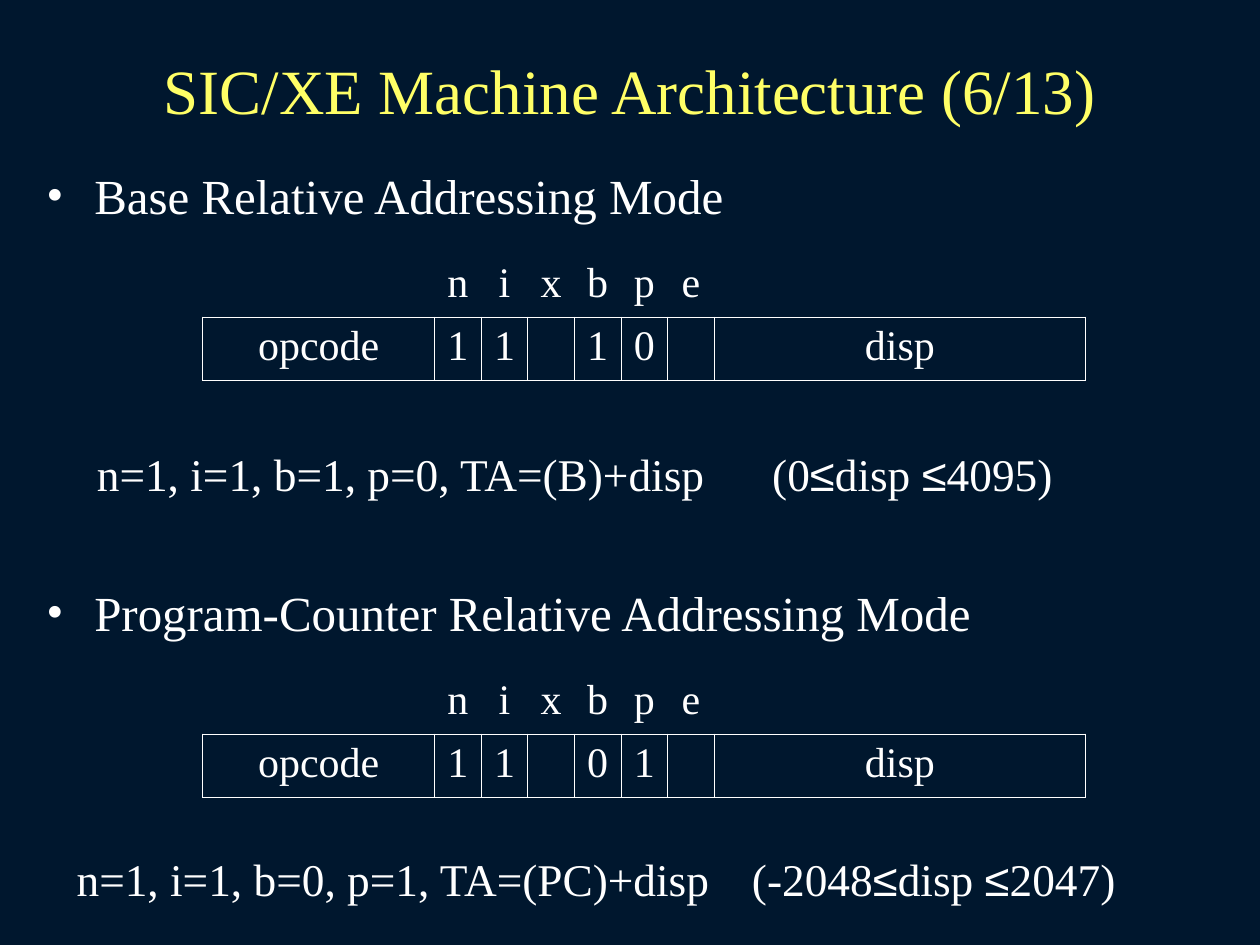
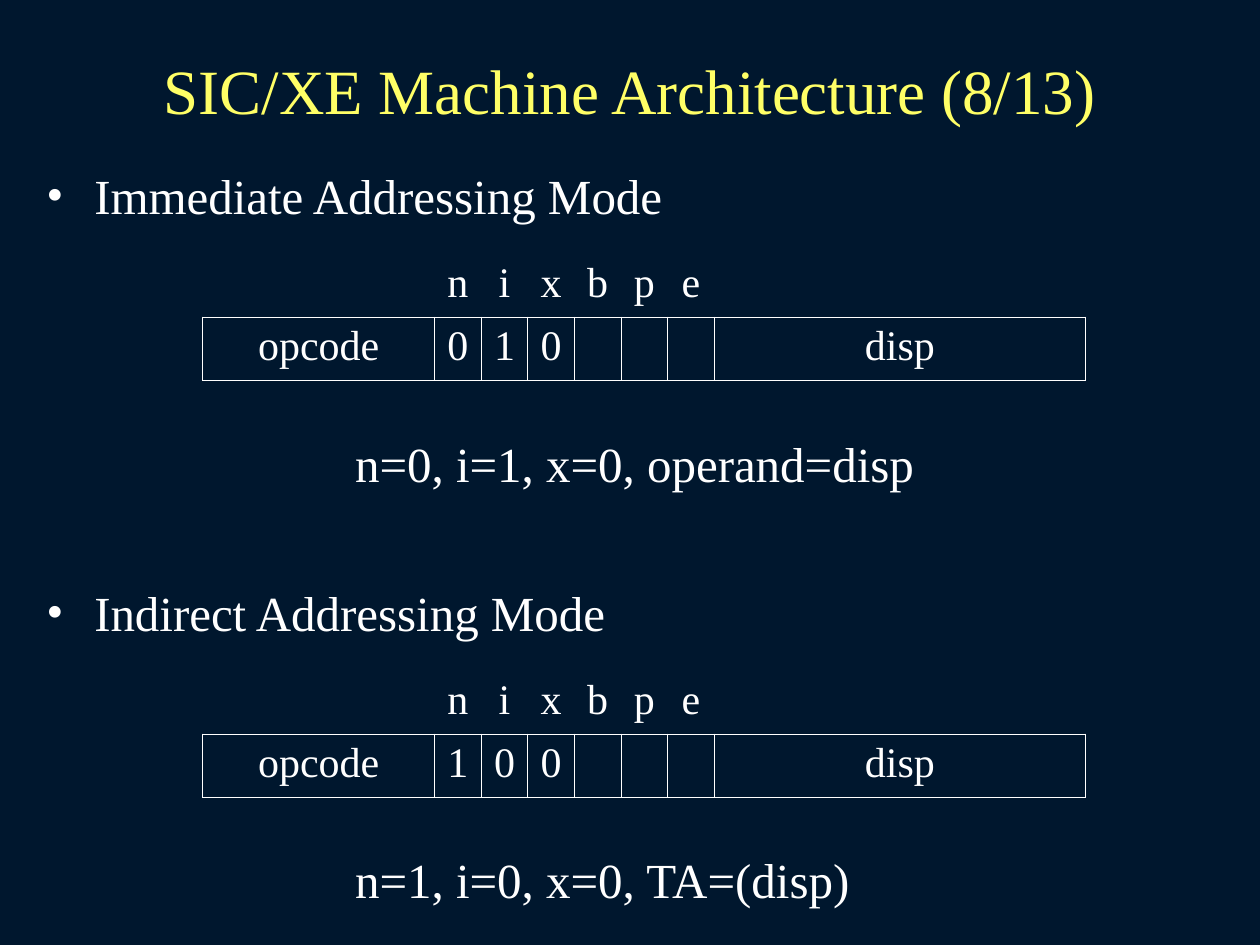
import itertools

import pptx
import pptx.dml.color
import pptx.enum.text
import pptx.oxml
import pptx.oxml.ns
import pptx.util

# Shared colours and fonts
NAVY = pptx.dml.color.RGBColor(0x00, 0x17, 0x2E)
YELLOW = pptx.dml.color.RGBColor(0xFF, 0xFF, 0x66)
WHITE = pptx.dml.color.RGBColor(0xFF, 0xFF, 0xFF)
SERIF = "Times New Roman"
SYMBOL_FONT = "Arial"

# Grid of 100 columns and 75 rows
COLUMNS, ROWS = 100, 75
UNIT = pptx.util.Inches(0.1)

# Text formats
CENTER = pptx.enum.text.PP_ALIGN.CENTER
LEFT = pptx.enum.text.PP_ALIGN.LEFT
TITLE = {"size": pptx.util.Pt(36), "name": SERIF, "color": YELLOW}
HEADING = {"size": pptx.util.Pt(28), "name": SERIF, "color": WHITE}
RANGE_FORMULA = {**HEADING, "size": pptx.util.Pt(25.9)}
FIELD = {**HEADING, "size": pptx.util.Pt(24), "bold": False}

# Instruction format: opcode, six flag bits, displacement
FLAGS = "nixbpe"
FIELD_WIDTHS = [18.4] + [3.7] * len(FLAGS) + [29.5]
FIELD_HEIGHT = 5
BORDER_WIDTH = pptx.util.Pt(0.45)
SIDES = ("L", "R", "T", "B")

# Rows on which the two modes of a page start
MODE_TOPS = (12.3, 45.4)
TEXT_HEIGHT = 6.3
RANGE_TAB = 53.6


def grid(*lengths):
    return [round(length * UNIT) for length in lengths]


def apply_format(font, values):
    for name, value in values.items():
        if name == "color":
            font.color.rgb = value
        else:
            setattr(font, name, value)


def write(para, text, values, align=LEFT):
    """Write text in one paragraph, with its ≤ signs in the symbol font."""
    para.alignment = align
    for is_symbol, letters in itertools.groupby(text, key=lambda letter: letter == "≤"):
        span = para.add_run()
        span.text = "".join(letters)
        apply_format(span.font, values)
        if is_symbol:
            span.font.name = SYMBOL_FONT


def add_text(page, place, text, values, align=LEFT):
    box = page.shapes.add_textbox(*grid(*place))
    frame = box.text_frame
    frame.word_wrap = True
    frame.vertical_anchor = pptx.enum.text.MSO_ANCHOR.MIDDLE
    para = frame.paragraphs[0]
    write(para, text, values, align)
    return para


def add_xml(parent, tag, **attributes):
    element = pptx.oxml.parse_xml(f"<a:{tag} {pptx.oxml.ns.nsdecls('a')}/>")
    for name, value in attributes.items():
        element.set(name, str(value))
    parent.append(element)
    return element


def add_heading(page, top, text):
    para = add_text(page, (2.7, top, 85, TEXT_HEIGHT), text, HEADING)
    properties = para._p.get_or_add_pPr()
    indent, = grid(3.8)
    properties.set("marL", str(indent))
    properties.set("indent", str(-indent))
    add_xml(add_xml(properties, "buClr"), "srgbClr", val=WHITE)
    add_xml(properties, "buFont", typeface=SERIF)
    add_xml(properties, "buChar", char="•")


def add_formula(page, place, text, values):
    para = add_text(page, (*place, TEXT_HEIGHT), text, values)
    if "\t" in text:
        tabs = add_xml(para._p.get_or_add_pPr(), "tabLst")
        add_xml(tabs, "tab", pos=grid(RANGE_TAB)[0], algn="l")


def set_borders(cell, drawn_sides):
    properties = cell._tc.get_or_add_tcPr()
    for side in SIDES:
        line = add_xml(properties, f"ln{side}", w=BORDER_WIDTH)
        if side in drawn_sides:
            add_xml(add_xml(line, "solidFill"), "srgbClr", val=WHITE)
        else:
            add_xml(line, "noFill")


def add_instruction(page, top, bits):
    """Draw the flag names above the fields of one instruction."""
    place = (16.1, top, sum(FIELD_WIDTHS), 2 * FIELD_HEIGHT)
    table = page.shapes.add_table(2, len(FIELD_WIDTHS), *grid(*place)).table
    table.first_row = table.horz_banding = False
    for column, width in zip(table.columns, grid(*FIELD_WIDTHS)):
        column.width = width
    rows = (["", *FLAGS, ""], ["opcode", *bits, "disp"])
    for row, (texts, drawn_sides) in enumerate(zip(rows, ("B", SIDES))):
        for column, text in enumerate(texts):
            cell = table.cell(row, column)
            set_borders(cell, drawn_sides)
            cell.fill.background()
            if text.strip():
                write(cell.text_frame.paragraphs[0], text, FIELD, CENTER)


def add_page(deck, number, modes):
    page = deck.slides.add_slide(deck.slide_layouts[6])
    title = f"SIC/XE Machine Architecture ({number}/13)"
    add_text(page, (7.5, 2.5, 85, 9.2), title, TITLE, CENTER)
    for top, (heading, bits, place, formula, values) in zip(MODE_TOPS, modes):
        add_heading(page, top, heading)
        add_instruction(page, top + 7.85, bits)
        add_formula(page, place, formula, values)


def main():
    deck = pptx.Presentation()
    deck.slide_width, deck.slide_height = grid(COLUMNS, ROWS)
    background = deck.slide_master.background.fill
    background.solid()
    background.fore_color.rgb = NAVY

    # Each mode: heading, flag bits, formula's left, top and width, formula, format
    add_page(deck, 6, [
        ("Base Relative Addressing Mode", "11 10 ", (6.7, 34.4, 85.1),
         "n=1, i=1, b=1, p=0, TA=(B)+disp\t(0≤disp ≤4095)", RANGE_FORMULA),
        ("Program-Counter Relative Addressing Mode", "11 01 ", (5.1, 66.6, 90.6),
         "n=1, i=1, b=0, p=1, TA=(PC)+disp\t(-2048≤disp ≤2047)", RANGE_FORMULA),
    ])
    add_page(deck, 8, [
        ("Immediate Addressing Mode", "010   ", (27.2, 33.6, 48),
         "n=0, i=1, x=0, operand=disp", HEADING),
        ("Indirect Addressing Mode", "100   ", (27.2, 66.6, 43.3),
         "n=1, i=0, x=0, TA=(disp)", HEADING),
    ])
    deck.save("out.pptx")


if __name__ == "__main__":
    main()
